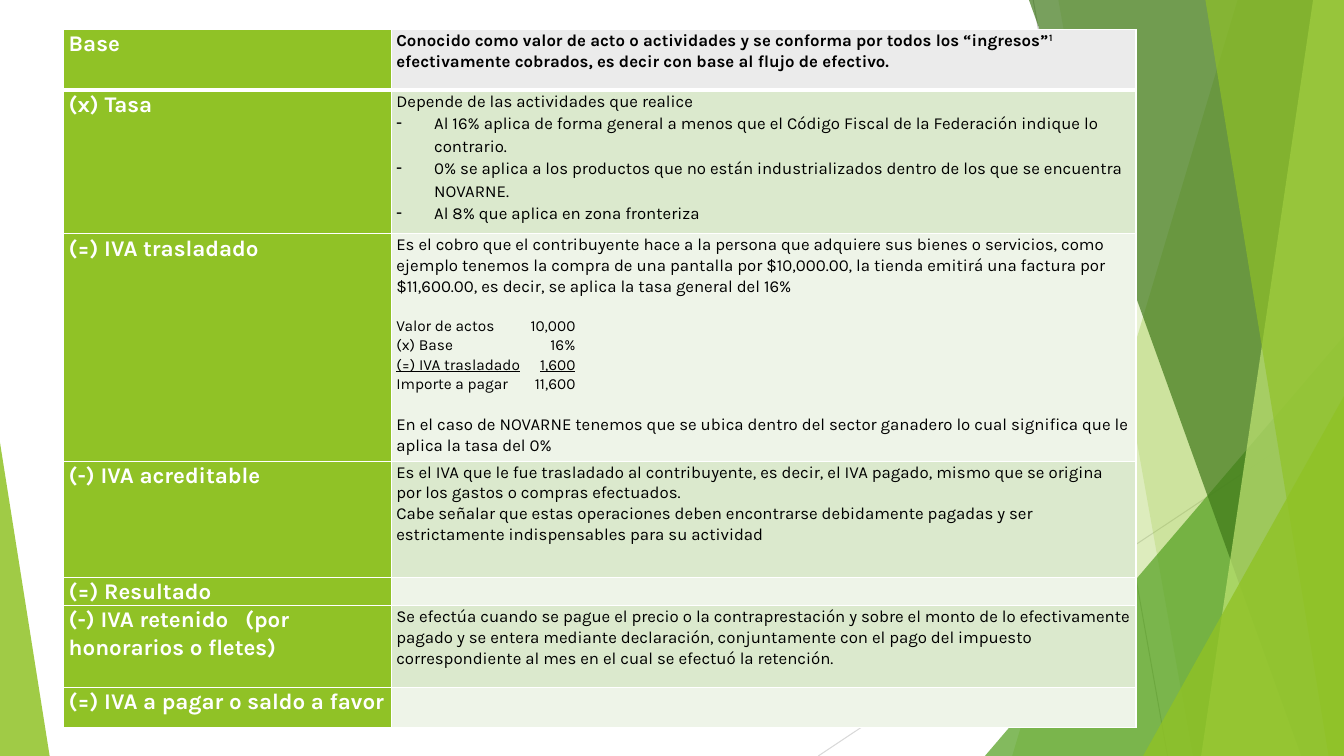
from lxml.etree import SubElement as Sub
from pptx import Presentation
from pptx.dml.color import RGBColor
from pptx.enum.shapes import MSO_CONNECTOR as Link, MSO_SHAPE as Form
from pptx.oxml.ns import qn
from pptx.util import Pt

WIDE, HIGH = 960, 540
GREEN, WHITE, BLACK = "90C226", "FFFFFF", "000000"
PALE, SOFT, GRAY = "EEF4E8", "DBE9CD", "EBEBEB"

LINES = [(738, 0, 834, 540, "BFBFBF"), (960, 290, 584.5, 540, "D9D9D9")]
BACK = [(884, 723, GREEN, 30), (756, 852, GREEN, 20)]
FRONT = [(735, 929.5, "3F7819", 70), (938, 858, "C0E474", 70), (861, 949, GREEN, 65)]

COLS = [234, 532]
ROWS = [
    ("Base", 43.5, GRAY),
    ("(x) Tasa", 102.5, SOFT),
    ("(=) IVA trasladado", 162.5, PALE),
    ("(-) IVA acreditable", 83, SOFT),
    ("(=) Resultado", 20, PALE),
    ("(-) IVA retenido\t(por honorarios o fletes)", 58.5, SOFT),
    ("(=) IVA a pagar o saldo a favor", 28.5, PALE),
]
RATES = [
    "Al 16% aplica de forma general a menos que el Código Fiscal de la Federación indique lo contrario.",
    "0% se aplica a los productos que no están industrializados dentro de los que se encuentra NOVARNE.",
    "Al 8% que aplica en zona fronteriza",
]
SUMS = [
    ("Valor de actos", "10,000"),
    ("(x) Base", "16%"),
    ("(=) IVA trasladado", "1,600"),
    ("Importe a pagar", "11,600"),
]
SALE = (
    "Es el cobro que el contribuyente hace a la persona que adquiere sus bienes o servicios, "
    "como ejemplo tenemos la compra de una pantalla por $10,000.00, la tienda emitirá una "
    "factura por $11,600.00, es decir, se aplica la tasa general del 16%"
)
FARM = (
    "En el caso de NOVARNE tenemos que se ubica dentro del sector ganadero lo cual significa "
    "que le aplica la tasa del 0%"
)
CREDIT = [
    "Es el IVA que le fue trasladado al contribuyente, es decir, el IVA pagado, mismo que se "
    "origina por los gastos o compras efectuados.",
    "Cabe señalar que estas operaciones deben encontrarse debidamente pagadas y ser "
    "estrictamente indispensables para su actividad",
]
HELD = (
    "Se efectúa cuando se pague el precio o la contraprestación y sobre el monto de lo "
    "efectivamente pagado y se entera mediante declaración, conjuntamente con el pago del "
    "impuesto correspondiente al mes en el cual se efectuó la retención."
)


def color(code):
    """Turn a hex string into a colour."""
    return RGBColor.from_string(code)


def paint(shape, code, alpha):
    """Give a shape a see-through fill, no line and no shadow."""
    shape.shadow.inherit = False
    shape.fill.solid()
    shape.fill.fore_color.rgb = color(code)
    shape.line.fill.background()
    tone = shape.fill._xPr.find(".//" + qn("a:srgbClr"))
    Sub(tone, qn("a:alpha"), val=str(alpha * 1000))


def line(slide, x1, y1, x2, y2, code):
    """Draw a thin line."""
    link = slide.shapes.add_connector(Link.STRAIGHT, Pt(x1), Pt(y1), Pt(x2), Pt(y2))
    link.line.color.rgb = color(code)
    link.line.width = Pt(0.75)
    Sub(link._element.spPr, qn("a:effectLst"))


def blade(slide, top, base, code, alpha):
    """Draw a slanted band that reaches the right edge."""
    pen = slide.shapes.build_freeform(Pt(top), 0, scale=1.0)
    ends = [(WIDE, 0), (WIDE, HIGH), (base, HIGH)]
    pen.add_line_segments([(Pt(x), Pt(y)) for x, y in ends], close=True)
    paint(pen.convert_to_shape(), code, alpha)


def wedge(slide, x, y, wide, tip, code, alpha):
    """Draw a right triangle standing on the bottom edge."""
    box = (Pt(v) for v in (x, y, wide, HIGH - y))
    shape = slide.shapes.add_shape(Form.ISOSCELES_TRIANGLE, *box)
    shape.adjustments[0] = tip
    paint(shape, code, alpha)


def text(para, words, size=12, bold=False, ink=BLACK, under=False, lift=0):
    """Add formatted words to a paragraph."""
    run = para.add_run()
    run.text = words
    font = run.font
    font.name, font.size, font.bold, font.underline = "Karla", Pt(size), bold, under
    font.color.rgb = color(ink)
    if lift:
        font._element.set("baseline", str(lift * 1000))


def para(cell, space=1.07, before=0, dash=False, tab=None, align="l"):
    """Return a fresh paragraph of a cell."""
    frame = cell.text_frame
    item = frame.paragraphs[0]
    if item.runs:
        item = frame.add_paragraph()
    item.line_spacing = space
    item.space_before = Pt(before)
    props = item._p.get_or_add_pPr()
    if dash:
        props.set("marL", str(Pt(27)))
        props.set("indent", str(-Pt(27)))
        Sub(props, qn("a:buChar"), char="-")
    if tab:
        stops = Sub(props, qn("a:tabLst"))
        Sub(stops, qn("a:tab"), pos=str(Pt(tab)), algn=align)
    return item


def style(cell, code, top, base):
    """Set the margins, borders and fill of a cell."""
    cell.margin_left = cell.margin_right = Pt(3.6)
    cell.margin_top = cell.margin_bottom = 0
    props = cell._tc.get_or_add_tcPr()
    for side, size in (("L", 1), ("R", 1), ("T", top), ("B", base)):
        edge = Sub(props, qn("a:ln" + side), w=str(Pt(size)))
        Sub(Sub(edge, qn("a:solidFill")), qn("a:srgbClr"), val=WHITE)
    cell.fill.solid()
    cell.fill.fore_color.rgb = color(code)


def grid(slide):
    """Add the tax table with its row names and return it."""
    high = sum(row[1] for row in ROWS)
    frame = slide.shapes.add_table(
        len(ROWS), len(COLS), Pt(45.5), Pt(21), Pt(sum(COLS)), Pt(high))
    table = frame.table
    table.first_row = table.horz_banding = False
    for col, wide in zip(table.columns, COLS):
        col.width = Pt(wide)
    for i, (name, tall, code) in enumerate(ROWS):
        table.rows[i].height = Pt(tall)
        for j, tone in enumerate((GREEN, code)):
            style(table.cell(i, j), tone, 3 if i == 1 else 1, 3 if i == 0 else 1)
        tab = 126 if "\t" in name else None
        text(para(table.cell(i, 0), tab=tab), name, size=16, bold=True, ink=WHITE)
    return table


def fill(table):
    """Write the explanations in the right column."""
    base, rate, sale, credit, result, held, total = (
        table.cell(i, 1) for i in range(len(ROWS)))
    lead = para(base)
    text(lead, "Conocido como valor de acto o actividades y se conforma por todos los “ingresos”", bold=True)
    text(lead, "1", bold=True, lift=30)
    text(lead, " efectivamente cobrados, es decir con base al flujo de efectivo.", bold=True)
    text(para(rate), "Depende de las actividades que realice")
    for words in RATES:
        text(para(rate, space=1.15, dash=True), words)
    text(para(sale), SALE)
    for i, pair in enumerate(SUMS):
        item = para(sale, before=0 if i else 14, tab=128, align="r")
        text(item, "\t".join(pair), size=11, under=i == 2)
    text(para(sale, before=15), FARM)
    for words in CREDIT:
        text(para(credit), words)
    text(para(held), HELD)
    for cell in (result, total):
        Sub(para(cell)._p, qn("a:endParaRPr"), sz="1200")


def main():
    """Build the slide and save it."""
    deck = Presentation()
    deck.slide_width, deck.slide_height = Pt(WIDE), Pt(HIGH)
    slide = deck.slides.add_slide(deck.slide_layouts[6])
    for ends in LINES:
        line(slide, *ends)
    for band in BACK:
        blade(slide, *band)
    wedge(slide, 703.5, 240, 256.5, 1, "54A021", 72)
    for band in FRONT:
        blade(slide, *band)
    wedge(slide, 816.5, 283, 143.5, 1, GREEN, 80)
    wedge(slide, 0, 316, 35.5, 0, GREEN, 85)
    fill(grid(slide))
    deck.save("out.pptx")


if __name__ == "__main__":
    main()
